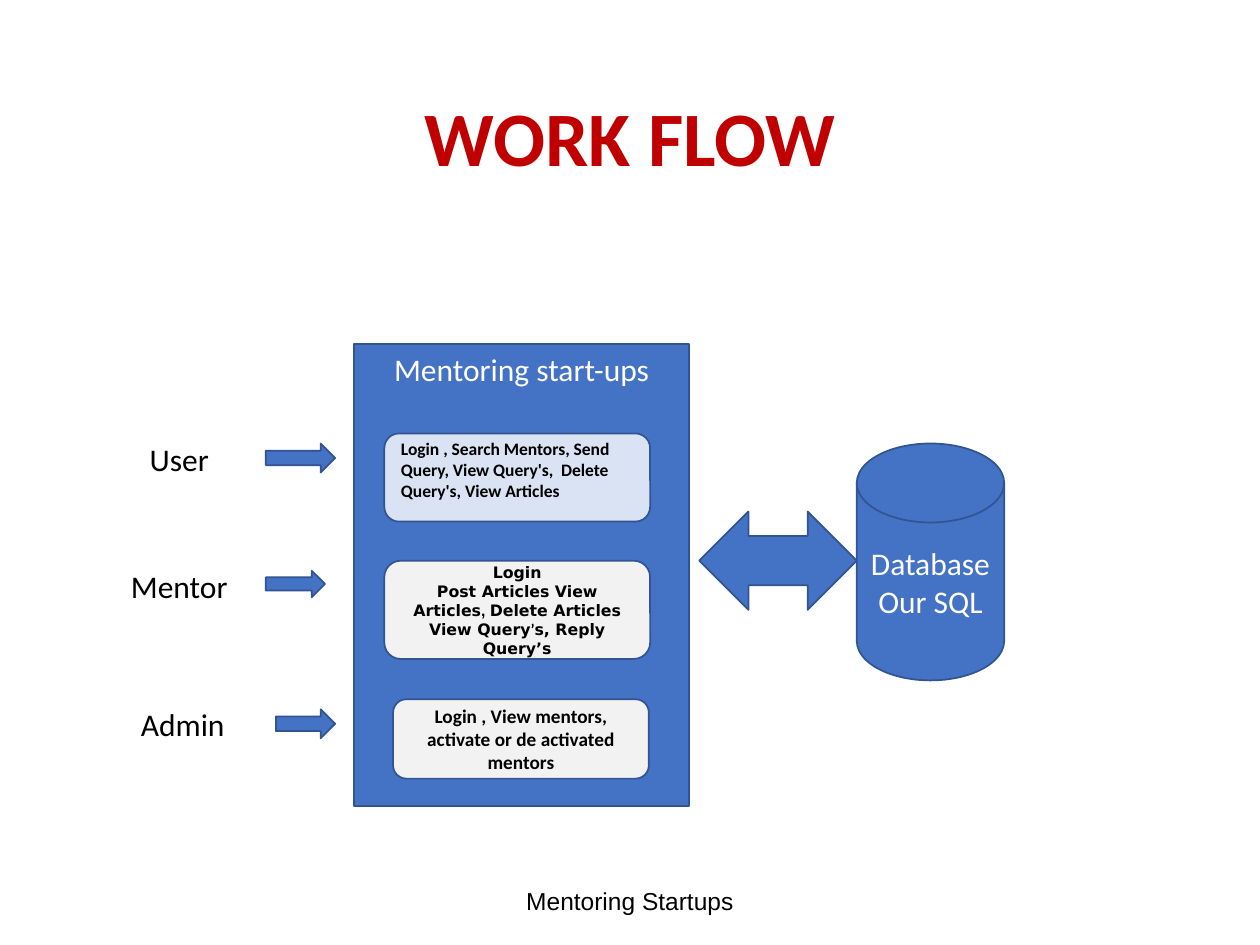
from pptx import Presentation
from pptx.dml.color import RGBColor
from pptx.enum.shapes import MSO_SHAPE as Kind
from pptx.enum.text import MSO_ANCHOR as Anchor, PP_ALIGN as Align
from pptx.util import Inches, Pt

BLUE, EDGE, GREY = "4472C4", "325491", "F2F2F2"
BLACK, WHITE, RED = "000000", "FFFFFF", "C00000"


def rgb(code):
    return RGBColor.from_string(code)


def style(run, size, color, font="Calibri", bold=False):
    run.font.size = Pt(size)
    run.font.name = font
    run.font.bold = bold
    run.font.color.rgb = rgb(color)


def write(item, text, size, color, font="Calibri", bold=False,
          align=Align.CENTER, anchor=Anchor.MIDDLE):
    frame = item.text_frame
    frame.word_wrap = True
    frame.vertical_anchor = anchor
    frame.text = text
    for para in frame.paragraphs:
        para.alignment = align
        for run in para.runs:
            style(run, size, color, font, bold)
    return frame


def label(slide, box, text, size, color, **look):
    item = slide.shapes.add_textbox(*map(Inches, box))
    return write(item, text, size, color, **look)


def shape(slide, kind, box, fill=BLUE):
    item = slide.shapes.add_shape(kind, *map(Inches, box))
    item.shadow.inherit = False
    item.fill.solid()
    item.fill.fore_color.rgb = rgb(fill)
    item.line.color.rgb = rgb(EDGE)
    item.line.width = Pt(1)
    return item


def roles(slide):
    """Name each role and point its arrow at the system."""
    rows = [
        ("User", (1.09, 3.44, 0.86, 0.4), (2.11, 3.52, 0.55, 0.23)),
        ("Mentor", (0.94, 4.45, 1.02, 0.4), (2.11, 4.53, 0.47, 0.21)),
        ("Admin", (1.02, 5.55, 0.94, 0.4), (2.19, 5.63, 0.47, 0.23)),
    ]
    for name, place, arrow in rows:
        label(slide, place, name, 18, BLACK,
              align=Align.LEFT, anchor=Anchor.TOP)
        shape(slide, Kind.RIGHT_ARROW, arrow)


def tasks(slide):
    """List what each role can do inside the system."""
    user = shape(slide, Kind.ROUNDED_RECTANGLE, (3.05, 3.44, 2.11, 0.7),
                 "DAE3F3")
    frame = write(user, "Login , Search Mentors, Send Query, View Query's,  "
                  "Delete Query's, View Articles", 10, BLACK, bold=True,
                  align=Align.LEFT, anchor=Anchor.TOP)
    frame.margin_top = 0

    mentor = shape(slide, Kind.ROUNDED_RECTANGLE, (3.05, 4.45, 2.11, 0.78),
                   GREY)
    frame = write(mentor, "Login\nPost Articles View Articles", 9, BLACK,
                  "DejaVu Sans", True)
    frame.margin_top = frame.margin_bottom = 0
    para = frame.paragraphs[1]
    for text, font in [(", ", "Arial"),
                       ("Delete Articles View Query", "DejaVu Sans"),
                       ("’", "Calibri"),
                       ("s, Reply Query’s", "DejaVu Sans")]:
        run = para.add_run()
        run.text = text
        style(run, 9, BLACK, font, True)

    admin = shape(slide, Kind.ROUNDED_RECTANGLE, (3.12, 5.55, 2.03, 0.63),
                  GREY)
    write(admin, "Login , View mentors, activate or de activated mentors",
          11, BLACK, bold=True)


def main():
    deck = Presentation()
    deck.slide_width, deck.slide_height = Inches(10), Inches(7.5)
    slide = deck.slides.add_slide(deck.slide_layouts[6])

    title = label(slide, (0.69, 0.4, 8.62, 1.45), "WORK FLOW", 44, RED,
                  bold=True)
    title.paragraphs[0].line_spacing = 0.9

    system = shape(slide, Kind.RECTANGLE, (2.81, 2.73, 2.66, 3.67))
    write(system, "Mentoring start-ups", 18, WHITE, anchor=Anchor.TOP)
    roles(slide)
    tasks(slide)

    shape(slide, Kind.LEFT_RIGHT_ARROW, (5.55, 4.06, 1.25, 0.78))
    store = shape(slide, Kind.FLOWCHART_MAGNETIC_DISK,
                  (6.8, 3.52, 1.17, 1.88))
    write(store, "Database\nOur SQL", 18, WHITE)

    label(slide, (3.31, 6.95, 3.38, 0.4), "Mentoring Startups", 14, BLACK,
          font="Arial")
    deck.save("out.pptx")


if __name__ == "__main__":
    main()
